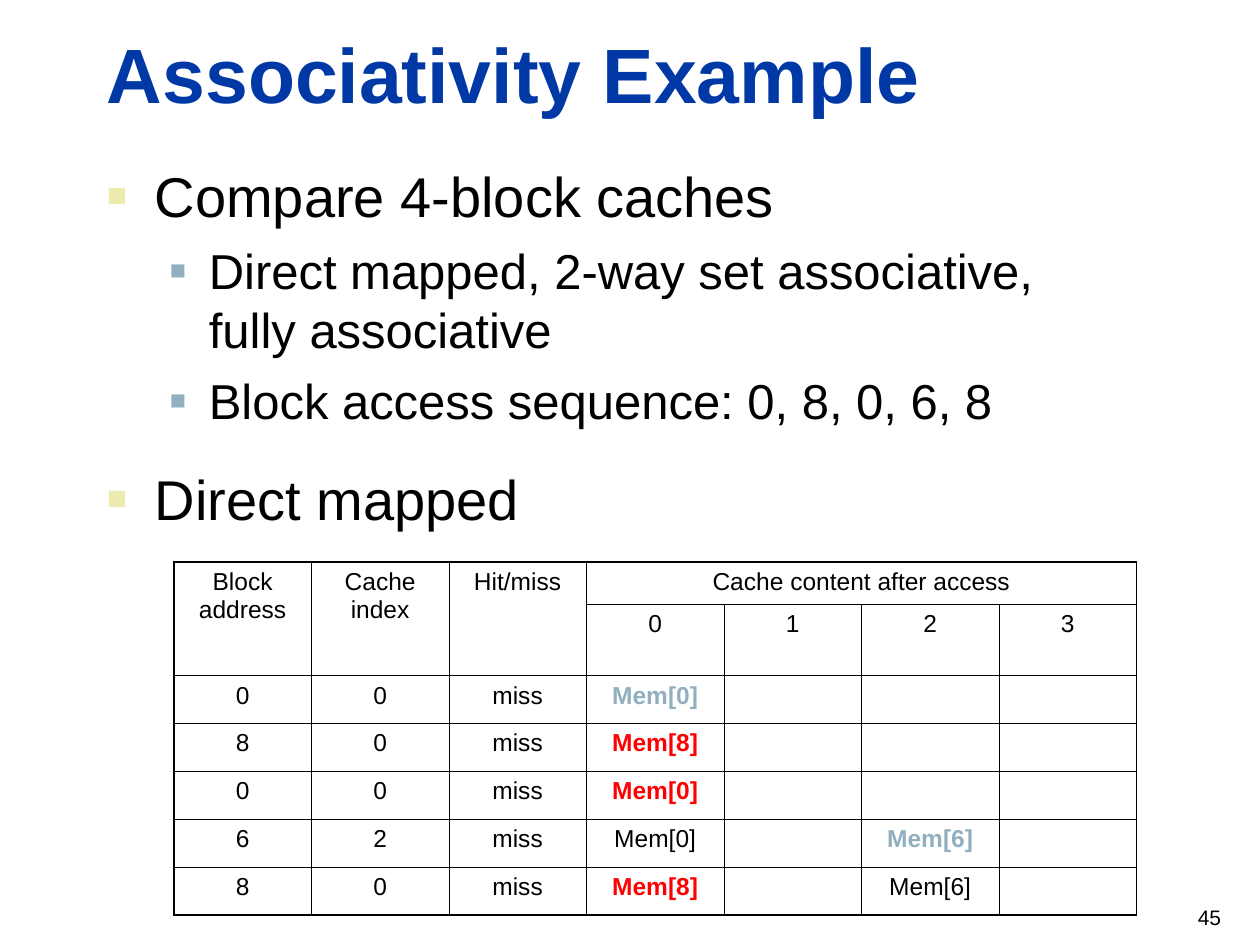
from dataclasses import dataclass

from lxml import etree
from pptx import Presentation
from pptx import util as u
from pptx.dml.color import RGBColor
from pptx.enum import text
from pptx.oxml.ns import qn

SLIDE_WIDTH, SLIDE_HEIGHT = u.Inches(10), u.Inches(7.5)


@dataclass(frozen=True)
class Theme:
    font: str = "Arial"
    title: str = "0039A6"
    ink: str = "000000"
    major_bullet: str = "ECEAAC"
    minor_bullet: str = "91AFBF"
    first_load: str = "91AFBF"
    conflict: str = "FF0000"
    title_size: float = 44
    major_size: float = 32
    minor_size: float = 28
    table_size: float = 14
    number_size: float = 12
    outer_line: float = 1.08
    inner_line: float = 0.45


THEME = Theme()


def box(left, top, width, height):
    """Turn percentages of the slide into lengths."""
    return (int(SLIDE_WIDTH * left / 100), int(SLIDE_HEIGHT * top / 100),
            int(SLIDE_WIDTH * width / 100), int(SLIDE_HEIGHT * height / 100))


def format_paragraph(paragraph, size, color=THEME.ink, bold=False):
    for font in [paragraph.font] + [run.font for run in paragraph.runs]:
        font.name, font.size, font.bold = THEME.font, u.Pt(size), bold
        font.color.rgb = RGBColor.from_string(color)


def add_text_frame(slide, area, anchor):
    frame = slide.shapes.add_textbox(*area).text_frame
    frame.word_wrap = True
    frame.vertical_anchor = anchor
    return frame


def set_bullet(paragraph, margin, hanging, color, percent):
    properties = paragraph._p.get_or_add_pPr()
    properties.set("marL", str(u.Inches(margin)))
    properties.set("indent", str(-u.Inches(hanging)))
    bullet_color = etree.Element(qn("a:buClr"))
    etree.SubElement(bullet_color, qn("a:srgbClr"), val=color)
    parts = [bullet_color,
             etree.Element(qn("a:buSzPct"), val=str(percent * 1000)),
             etree.Element(qn("a:buFont"), typeface=THEME.font),
             etree.Element(qn("a:buChar"), char="■")]
    # Bullet settings go after spacing and before run defaults
    defaults = properties.find(qn("a:defRPr"))
    for part in parts:
        if defaults is None:
            properties.append(part)
        else:
            defaults.addprevious(part)


def add_title(slide, area, title):
    frame = add_text_frame(slide, area, text.MSO_ANCHOR.BOTTOM)
    frame.text = title
    format_paragraph(frame.paragraphs[0], THEME.title_size, THEME.title, True)


def add_outline(slide, area, items):
    """Place bulleted items, each a level, a space before and its words."""
    frame = add_text_frame(slide, area, text.MSO_ANCHOR.TOP)
    styles = [(THEME.major_size, 0.38, 0.38, THEME.major_bullet, 60),
              (THEME.minor_size, 0.81, 0.31, THEME.minor_bullet, 55)]
    for index, (level, space, words) in enumerate(items):
        paragraph = frame.add_paragraph() if index else frame.paragraphs[0]
        paragraph.text = words
        paragraph.level = level
        paragraph.space_before = u.Pt(space)
        size, *bullet = styles[level]
        format_paragraph(paragraph, size)
        set_bullet(paragraph, *bullet)


def set_borders(cell, outer_sides):
    properties = cell._tc.get_or_add_tcPr()
    for position, side in enumerate("LRTB"):
        width = THEME.outer_line if side in outer_sides else THEME.inner_line
        line = etree.Element(qn(f"a:ln{side}"), w=str(u.Pt(width)))
        fill = etree.SubElement(line, qn("a:solidFill"))
        etree.SubElement(fill, qn("a:srgbClr"), val=THEME.ink)
        properties.insert(position, line)


def add_cache_table(slide, area, row_shares, rows, merges, highlights):
    row_count, column_count = len(rows), len(rows[0])
    table = slide.shapes.add_table(row_count, column_count, *area).table
    table.first_row = table.horz_banding = False
    for column in table.columns:
        column.width = area[2] // column_count
    for row, share in zip(table.rows, row_shares):
        row.height = int(area[3] * share / sum(row_shares))

    for row, values in enumerate(rows):
        for column, value in enumerate(values):
            cell = table.cell(row, column)
            cell.fill.background()
            cell.text = value
            paragraph = cell.text_frame.paragraphs[0]
            paragraph.alignment = text.PP_ALIGN.CENTER
            paragraph.space_before = u.Pt(3.5)
            color = highlights.get((row, column))
            format_paragraph(paragraph, THEME.table_size, color or THEME.ink, bool(color))
            edges = {"L": column == 0, "R": column == column_count - 1,
                     "T": row == 0, "B": row == row_count - 1}
            set_borders(cell, [side for side, outer in edges.items() if outer])

    for first, last in merges:
        table.cell(*first).merge(table.cell(*last))


def add_slide_number(slide, area, number):
    frame = add_text_frame(slide, area, text.MSO_ANCHOR.MIDDLE)
    frame.text = number
    frame.paragraphs[0].alignment = text.PP_ALIGN.RIGHT
    format_paragraph(frame.paragraphs[0], THEME.number_size)


def main():
    presentation = Presentation()
    presentation.slide_width, presentation.slide_height = SLIDE_WIDTH, SLIDE_HEIGHT
    slide = presentation.slides.add_slide(presentation.slide_layouts[6])

    add_title(slide, box(7.5, 2.13, 90.3, 11.07), "Associativity Example")
    add_outline(slide, box(7.5, 16.4, 90.4, 40.93), [
        (0, 8, "Compare 4-block caches"),
        (1, 7, "Direct mapped, 2-way set associative,\vfully associative"),
        (1, 7, "Block access sequence: 0, 8, 0, 6, 8"),
        (0, 20, "Direct mapped"),
    ])

    # Two header rows, then one row for each block access
    rows = [
        ["Block address", "Cache index", "Hit/miss", "Cache content after access", "", "", ""],
        ["", "", "", "0", "1", "2", "3"],
        ["0", "0", "miss", "Mem[0]", "", "", ""],
        ["8", "0", "miss", "Mem[8]", "", "", ""],
        ["0", "0", "miss", "Mem[0]", "", "", ""],
        ["6", "2", "miss", "Mem[0]", "", "Mem[6]", ""],
        ["8", "0", "miss", "Mem[8]", "", "Mem[6]", ""],
    ]
    merges = [((0, column), (1, column)) for column in range(3)] + [((0, 3), (0, 6))]
    highlights = {(2, 3): THEME.first_load, (5, 5): THEME.first_load,
                  (3, 3): THEME.conflict, (4, 3): THEME.conflict, (6, 3): THEME.conflict}
    add_cache_table(slide, box(13.8, 59.47, 76.4, 36.8), [0.32, 0.54] + [0.38] * 5,
                    rows, merges, highlights)

    add_slide_number(slide, box(75.4, 94.4, 22.5, 5.33), "45")
    presentation.save("out.pptx")


if __name__ == "__main__":
    main()
